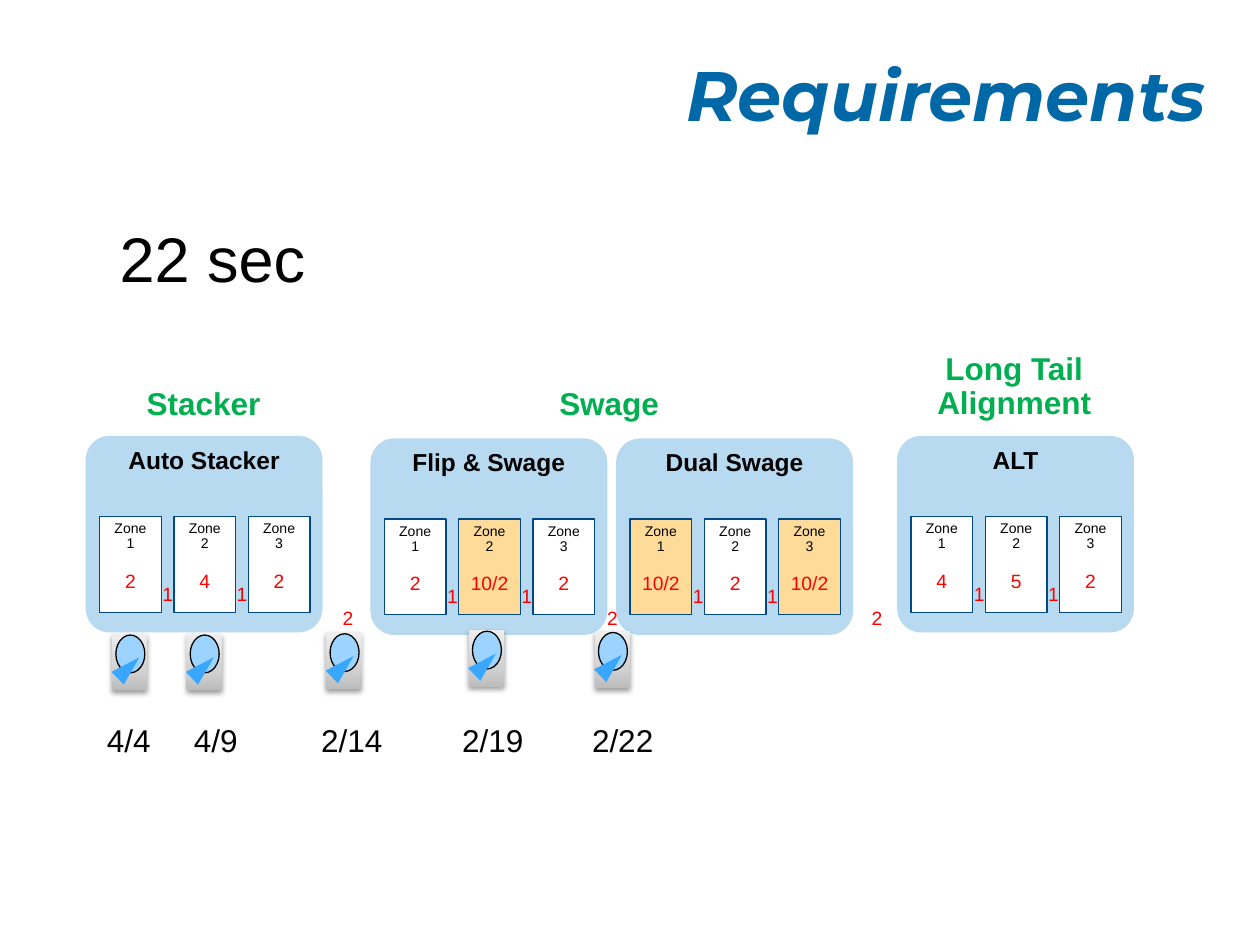
import lxml.etree
import pptx
import pptx.dml.color
import pptx.enum.shapes
import pptx.enum.text
import pptx.oxml
import pptx.util

Inches = pptx.util.Inches
Kind = pptx.enum.shapes.MSO_SHAPE
Align = pptx.enum.text.PP_ALIGN
color = pptx.dml.color.RGBColor.from_string

DRAWING = 'xmlns:a="http://schemas.openxmlformats.org/drawingml/2006/main"'
METAL = f"""<a:gradFill {DRAWING} rotWithShape="1"><a:gsLst>
<a:gs pos="0"><a:srgbClr val="BDBDBD"/></a:gs>
<a:gs pos="35000"><a:srgbClr val="D1D1D1"/></a:gs>
<a:gs pos="100000"><a:srgbClr val="EEEEEE"/></a:gs>
</a:gsLst><a:lin ang="16200000" scaled="1"/></a:gradFill>"""
SHADOW = f"""<a:effectLst {DRAWING}>
<a:outerShdw blurRad="39370" dist="20320" dir="5400000" rotWithShape="0">
<a:srgbClr val="000000"><a:alpha val="38000"/></a:srgbClr>
</a:outerShdw></a:effectLst>"""


def add_shape(shapes, kind, left, top, width, height, fill, line=None, corner=None):
    shape = shapes.add_shape(kind, Inches(left), Inches(top), Inches(width), Inches(height))
    shape.shadow.inherit = False
    shape.fill.solid()
    shape.fill.fore_color.rgb = color(fill)
    if line:
        shape.line.color.rgb = color(line)
        shape.line.width = pptx.util.Pt(0.75)
    else:
        shape.line.fill.background()
    if corner:
        shape.adjustments[0] = corner
    return shape


def write(shape, text, size, hex_color="000000", bold=False, italic=False, font="Arial",
          align=Align.CENTER, spacing=0.9, before=0, anchor="TOP", margins=(0.09, 0.04),
          wrap=True, append=False):
    frame = shape.text_frame
    frame.word_wrap = wrap
    frame.vertical_anchor = pptx.enum.text.MSO_ANCHOR[anchor]
    frame.margin_left = frame.margin_right = Inches(margins[0])
    frame.margin_top = frame.margin_bottom = Inches(margins[1])
    if not wrap:
        frame.auto_size = pptx.enum.text.MSO_AUTO_SIZE.SHAPE_TO_FIT_TEXT
    paragraph = frame.add_paragraph() if append else frame.paragraphs[0]
    paragraph.text = text
    paragraph.alignment = align
    paragraph.line_spacing = spacing
    paragraph.space_before = pptx.util.Pt(before)
    for run in paragraph.runs:
        run.font.name = font
        run.font.size = pptx.util.Pt(size)
        run.font.bold = bold
        run.font.italic = italic
        run.font.color.rgb = color(hex_color)


presentation = pptx.Presentation()
presentation.slide_width = Inches(10)
presentation.slide_height = Inches(7.5)
slide = presentation.slides.add_slide(presentation.slide_layouts[5])
shapes = slide.shapes

# Title
title = shapes.title
title.left, title.top, title.width, title.height = map(Inches, (0.67, 0.12, 9, 1.25))
write(title, "Requirements", 40, "0068A6", bold=True, italic=True, font="Montserrat",
      align=Align.RIGHT, spacing=1, anchor="MIDDLE", margins=(0.1, 0.05))

# Process areas
for name, left, top, width, corner in [
    ("Long Tail Alignment", 6.98, 2.67, 2.14, 0.154),
    ("Swage", 2.8, 2.94, 4.07, 0.154),
    ("Stacker", 0.57, 2.94, 2.09, 0.167),
]:
    area = add_shape(shapes, Kind.ROUNDED_RECTANGLE, left, top, width, 2.28, "FFFFFF",
                     corner=corner)
    write(area, name, 18, "00B050", bold=True)

# Machines with three zones each, and the labels that stand free
labels = [("2", left, 4.76, 0.29, 0.29, 11, "FF0000") for left in (2.62, 6.82, 4.72)]
labels.append(("22 sec", 0.85, 1.69, 1.69, 0.71, 36, "000000"))
zone_pitch = 0.59
for name, left, top, times in [
    ("Auto Stacker", 0.68, 3.46, ["2", "4", "2"]),
    ("Flip & Swage", 2.94, 3.48, ["2", "10/2", "2"]),
    ("Dual Swage", 4.89, 3.48, ["10/2", "2", "10/2"]),
    ("ALT", 7.12, 3.46, ["4", "5", "2"]),
]:
    machine = add_shape(shapes, Kind.ROUNDED_RECTANGLE, left, top, 1.88, 1.56, "B8DAF1",
                        corner=0.122)
    write(machine, name, 14, bold=True)
    for index, time in enumerate(times):
        zone_left = left + 0.11 + index * zone_pitch
        fill = "FFDB99" if time == "10/2" else "FFFFFF"
        zone = add_shape(shapes, Kind.RECTANGLE, zone_left, top + 0.64, 0.49, 0.76, fill,
                         "004985")
        write(zone, f"Zone\v{index + 1}", 8)
        write(zone, time, 11, "FF0000", before=11.4, append=True)
        if index:
            labels.append(("1", zone_left - 0.19, top + 1.11, 0.29, 0.29, 11, "FF0000"))

# Operator stations and their dates
for date, left, top, date_left, date_width in [
    ("2/22", 4.72, 5.01, 4.6, 0.69),
    ("2/19", 3.72, 5, 3.57, 0.69),
    ("2/14", 2.59, 5.02, 2.45, 0.69),
    ("4/9", 1.48, 5.03, 1.44, 0.55),
    ("4/4", 0.89, 5.03, 0.75, 0.55),
]:
    station = shapes.add_group_shape().shapes
    base = add_shape(station, Kind.RECTANGLE, left, top, 0.28, 0.45, "D1D1D1")
    properties = base.fill._xPr
    properties.replace(properties.find("{*}solidFill"), pptx.oxml.parse_xml(METAL))
    properties.replace(properties.find("{*}effectLst"), pptx.oxml.parse_xml(SHADOW))
    add_shape(station, Kind.OVAL, left + 0.03, top + 0.01, 0.23, 0.3, "9CD3FF", "000000")
    pointer = add_shape(station, Kind.ISOSCELES_TRIANGLE, left + 0.06, top + 0.15, 0.14, 0.24,
                        "3AA7FF")
    pointer.rotation = 46.1
    labels.append((date, date_left, 5.67, date_width, 0.4, 18, "000000"))

# Free labels
for text, left, top, width, height, size, hex_color in labels:
    label = shapes.add_textbox(Inches(left), Inches(top), Inches(width), Inches(height))
    write(label, text, size, hex_color, align=Align.LEFT, spacing=1, margins=(0.1, 0.05),
          wrap=False)

presentation.save("out.pptx")
